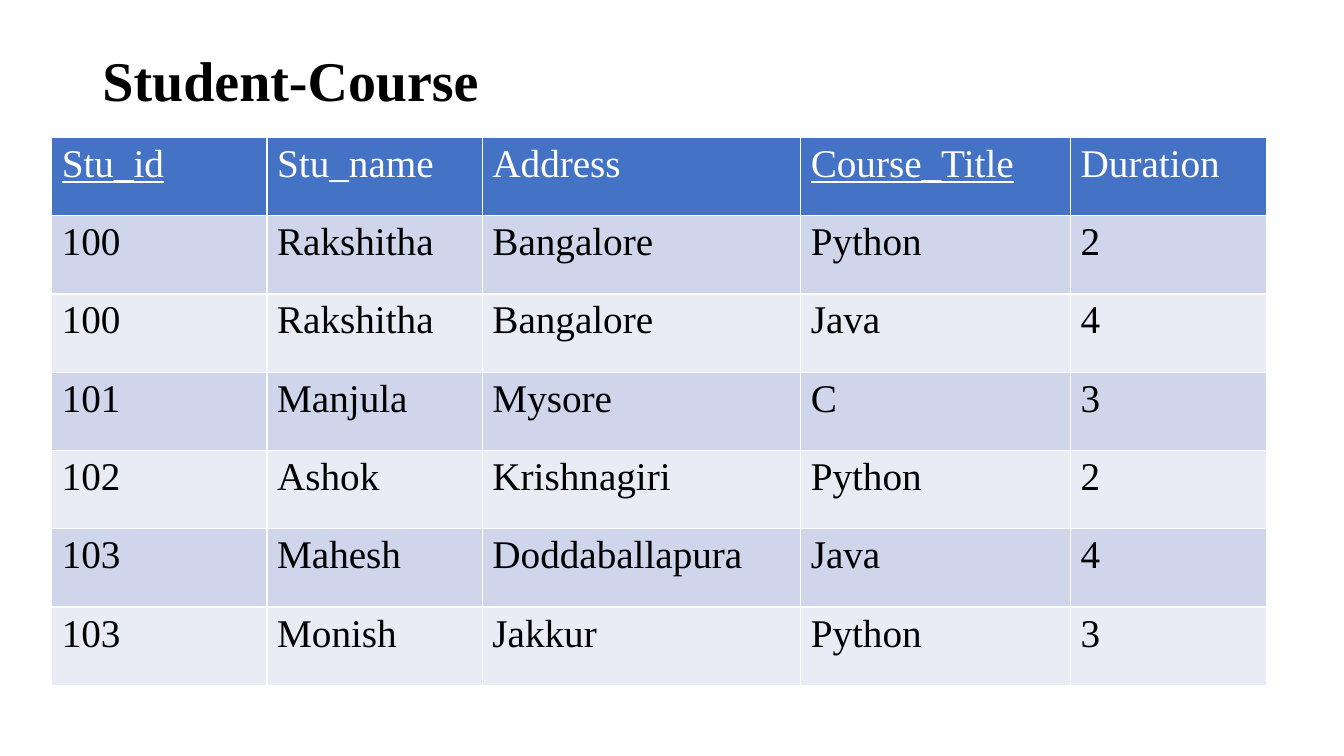
"""Build the Student-Course table slide."""
from lxml.etree import SubElement
from pptx import Presentation
from pptx.dml.color import RGBColor
from pptx.enum.text import MSO_ANCHOR as Anchor, PP_ALIGN as Align
from pptx.oxml.ns import qn
from pptx.util import Pt

FONT = "Times New Roman"
COLUMN_WIDTHS = [153.8, 153.8, 227.4, 192.8, 140]
ROW_HEIGHT = 55.9
HEADER_FILL = "4472C4"
BAND_FILLS = ["CFD5EA", "E9EBF5"]
KEY_COLUMNS = {"Stu_id", "Course_Title"}
ROWS = [
    ["Stu_id", "Stu_name", "Address", "Course_Title", "Duration"],
    ["100", "Rakshitha", "Bangalore", "Python", "2"],
    ["100", "Rakshitha", "Bangalore", "Java", "4"],
    ["101", "Manjula", "Mysore", "C", "3"],
    ["102", "Ashok", "Krishnagiri", "Python", "2"],
    ["103", "Mahesh", "Doddaballapura", "Java", "4"],
    ["103", "Monish", "Jakkur", "Python", "3"],
]


def set_color(color_format, value):
    """Apply a hex colour to a font or fill colour."""
    color_format.rgb = RGBColor.from_string(value)


def set_font(para, size, color, bold=False):
    """Format a whole paragraph."""
    para.font.name = FONT
    para.font.size = Pt(size)
    para.font.bold = bold
    set_color(para.font.color, color)


def add_title(page, text):
    """Place and format the title placeholder."""
    title = page.shapes.title
    title.left, title.top = Pt(66), Pt(25.2)
    title.width, title.height = Pt(549.4), Pt(59.8)
    frame = title.text_frame
    frame.text = text
    frame.word_wrap = True
    frame.vertical_anchor = Anchor.BOTTOM
    para = frame.paragraphs[0]
    para.alignment = Align.LEFT
    para.line_spacing = 0.9
    set_font(para, 40, "000000", bold=True)


def add_borders(cell, color, width):
    """Draw equal borders on the four sides of a cell, below its fill in order."""
    properties = cell._tc.get_or_add_tcPr()
    for position, side in enumerate(("lnL", "lnR", "lnT", "lnB")):
        line = SubElement(properties, qn(f"a:{side}"), w=str(Pt(width)))
        fill = SubElement(line, qn("a:solidFill"))
        SubElement(fill, qn("a:srgbClr"), val=color)
        properties.insert(position, line)


def format_cell(cell, text, fill, color):
    """Write a cell with its fill, font and borders."""
    cell.text = text
    cell.fill.solid()
    set_color(cell.fill.fore_color, fill)
    para = cell.text_frame.paragraphs[0]
    set_font(para, 28, color)
    para.font.underline = text in KEY_COLUMNS
    add_borders(cell, "FFFFFF", 1)


def add_course_table(page):
    """Add the table with a header and banded rows."""
    table = page.shapes.add_table(
        len(ROWS), len(COLUMN_WIDTHS), Pt(37), Pt(98.2),
        Pt(sum(COLUMN_WIDTHS)), Pt(ROW_HEIGHT * len(ROWS))).table
    for column, width in zip(table.columns, COLUMN_WIDTHS):
        column.width = Pt(width)
    for index, (row, texts) in enumerate(zip(table.rows, ROWS)):
        row.height = Pt(ROW_HEIGHT)
        fill = BAND_FILLS[(index - 1) % 2] if index else HEADER_FILL
        color = "000000" if index else "FFFFFF"
        for cell, text in zip(row.cells, texts):
            format_cell(cell, text, fill, color)


def main():
    """Create and save the deck."""
    deck = Presentation()
    deck.slide_width, deck.slide_height = Pt(960), Pt(540)
    page = deck.slides.add_slide(deck.slide_layouts.get_by_name("Title Only"))
    add_title(page, "Student-Course")
    add_course_table(page)
    deck.save("out.pptx")


if __name__ == "__main__":
    main()
